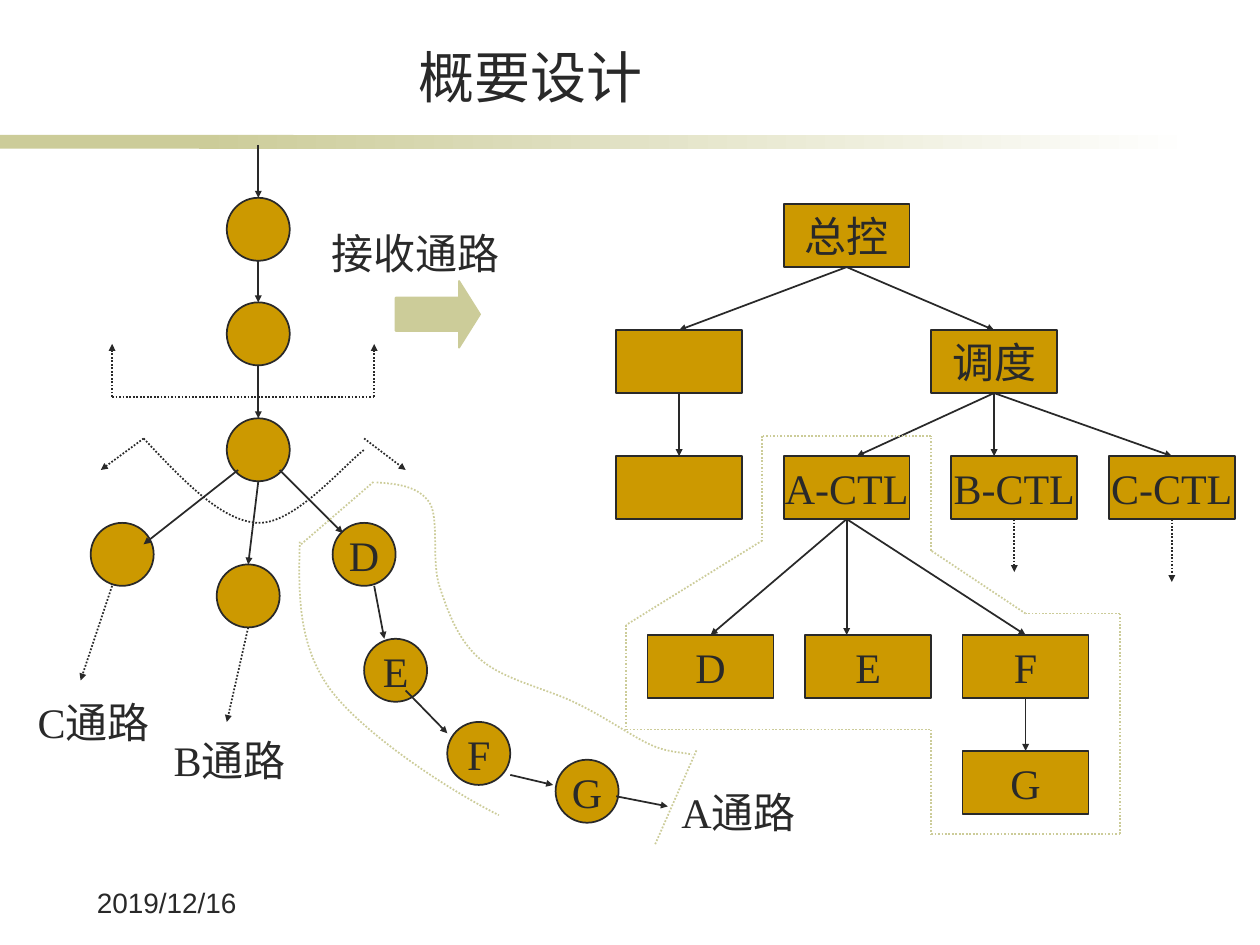
import itertools
import pptx
import pptx.util
import pptx.dml.color
import pptx.enum.dml
import pptx.enum.shapes
import pptx.enum.text
import pptx.oxml.ns
import lxml.etree

Inches = pptx.util.Inches
qn = pptx.oxml.ns.qn
SHAPE = pptx.enum.shapes.MSO_SHAPE
ANCHOR = pptx.enum.text.MSO_ANCHOR
ALIGN = pptx.enum.text.PP_ALIGN
AUTO = pptx.enum.text.MSO_AUTO_SIZE
INK, GOLD, TAN, WHITE = "292929", "CC9900", "CCCC99", "FFFFFF"


def rgb(value):
    return pptx.dml.color.RGBColor.from_string(value)


def put_text(tf, text, size=24, font="Times New Roman", color=INK, align=ALIGN.LEFT,
             anchor=ANCHOR.TOP, wrap=False, auto=AUTO.NONE):
    tf.auto_size = auto
    tf.word_wrap = wrap
    tf.vertical_anchor = anchor
    p = tf.paragraphs[0]
    p.alignment = align
    r = p.add_run()
    r.text = text
    r.font.size = pptx.util.Pt(size)
    r.font.name = font
    r.font.color.rgb = rgb(color)


def style_line(line, color, dotted=False):
    line.color.rgb = rgb(color)
    line.width = pptx.util.Pt(1)
    if dotted:
        line.dash_style = pptx.enum.dml.MSO_LINE.ROUND_DOT


def add_shape(s, kind, x, y, w, h, fill=GOLD, line=INK, text=""):
    sp = s.shapes.add_shape(kind, Inches(x), Inches(y), Inches(w), Inches(h))
    sp.shadow.inherit = False
    sp.fill.solid()
    sp.fill.fore_color.rgb = rgb(fill)
    if line:
        style_line(sp.line, line)
    else:
        sp.line.fill.background()
    if text:
        put_text(sp.text_frame, text, align=ALIGN.CENTER, anchor=ANCHOR.MIDDLE)
    return sp


def add_label(s, text, x, y, w, h=0.5, **fmt):
    sp = s.shapes.add_textbox(Inches(x), Inches(y), Inches(w), Inches(h))
    put_text(sp.text_frame, text, **fmt)


def add_line(s, x, y, start, end, color=INK, dotted=False, arrow=True):
    c = s.shapes.add_connector(
        pptx.enum.shapes.MSO_CONNECTOR.STRAIGHT,
        Inches(x + start[0]), Inches(y + start[1]), Inches(x + end[0]), Inches(y + end[1]))
    style_line(c.line, color, dotted)
    if arrow:
        ln = c.line._get_or_add_ln()
        lxml.etree.SubElement(ln, qn("a:tailEnd"), type="triangle", w="sm", len="sm")
    lxml.etree.SubElement(c._element.spPr, qn("a:effectLst"))


def add_curve(s, x, y, knots, color):
    points = [(Inches(x + px), Inches(y + py)) for px, py in knots]
    fb = s.shapes.build_freeform(*points[0])
    fb.add_line_segments(points[1:], close=False)
    sp = fb.convert_to_shape()
    sp.shadow.inherit = False
    sp.fill.background()
    style_line(sp.line, color, dotted=True)
    outline = sp._element.spPr.find(".//" + qn("a:path"))
    segments = outline.findall(qn("a:lnTo"))
    for i in range(0, len(segments), 3):
        bezier = lxml.etree.SubElement(outline, qn("a:cubicBezTo"))
        for segment in segments[i:i + 3]:
            bezier.append(segment[0])
            outline.remove(segment)


def header(s, x, y, w):
    add_shape(s, SHAPE.RECTANGLE, x, y + 1.07, 2.33, 0.11, TAN, None)
    fade = add_shape(s, SHAPE.RECTANGLE, x + 1.58, y + 1.07, w - 1.58, 0.11, TAN, None)
    fade.fill.gradient()
    fade.fill.gradient_angle = 0
    for stop, color, position in zip(fade.fill.gradient_stops, (TAN, WHITE), (0, 1)):
        stop.color.rgb = rgb(color)
        stop.position = position
    title = s.shapes.title
    title.left, title.top = Inches(x + 1.14), Inches(y + 0.29)
    title.width, title.height = Inches(6.14), Inches(0.63)
    put_text(title.text_frame, "概要设计", size=32, font="Arial", align=ALIGN.CENTER,
             anchor=ANCHOR.BOTTOM, wrap=True)


def flow_graph(s, x, y):
    nodes = [("", 1.6, 0.42), ("", 1.6, 1.25), ("", 1.6, 2.17), ("", 0.52, 3), ("", 1.52, 3.33),
             ("D", 2.44, 3), ("E", 2.69, 3.92), ("F", 3.35, 4.58), ("G", 4.21, 4.88)]
    for text, dx, dy in nodes:
        add_shape(s, SHAPE.OVAL, x + dx, y + dy, 0.5, 0.5, text=text)

    flows = [((1.85, 0), (1.85, 0.42)), ((1.85, 0.92), (1.85, 1.25)),
             ((1.85, 1.75), (1.85, 2.17)), ((1.69, 2.58), (0.94, 3.17)),
             ((1.85, 2.67), (1.77, 3.33)), ((2.02, 2.58), (2.52, 3.08)),
             ((2.77, 3.5), (2.85, 3.92)), ((3.02, 4.33), (3.35, 4.67)),
             ((3.85, 5), (4.19, 5.08)), ((4.69, 5.17), (5.1, 5.25))]
    for start, end in flows:
        add_line(s, x, y, start, end)

    dotted_flows = [((0.69, 3.5), (0.44, 4.25)), ((1.77, 3.83), (1.6, 4.58)),
                    ((0.69, 2), (0.69, 1.58)), ((2.77, 2), (2.77, 1.58)),
                    ((0.94, 2.33), (0.6, 2.58)), ((2.69, 2.33), (3.02, 2.58))]
    for start, end in dotted_flows:
        add_line(s, x, y, start, end, dotted=True)

    borders = [((0.69, 2), (2.77, 2), INK), ((2.19, 3.17), (2.77, 2.67), TAN),
               ((5, 5.55), (5.33, 4.8), TAN)]
    for start, end, color in borders:
        add_line(s, x, y, start, end, color, dotted=True, arrow=False)

    fan = [(0.94, 2.33), (1.25, 2.66), (1.56, 2.99), (1.85, 3), (2.14, 3.01), (2.53, 2.54),
           (2.69, 2.42)]
    lower = [(2.18, 3.15), (2.17, 3.55), (2.16, 3.96), (2.42, 4.32), (2.69, 4.68),
             (3.36, 5.12), (3.76, 5.32)]
    upper = [(2.79, 2.68), (2.96, 2.69), (3.12, 2.71), (3.21, 2.84), (3.29, 2.98),
             (3.22, 3.3), (3.29, 3.51), (3.36, 3.72), (3.44, 3.94), (3.62, 4.09),
             (3.81, 4.25), (4.15, 4.32), (4.37, 4.43), (4.6, 4.54), (4.81, 4.69),
             (4.96, 4.76), (5.11, 4.83), (5.24, 4.82), (5.29, 4.84)]
    for knots, color in ((fan, INK), (lower, TAN), (upper, TAN)):
        add_curve(s, x, y, knots, color)

    labels = [("C通路", 0, 4.33, 1.09, True), ("A通路", 5.11, 5.04, 1.11, True),
              ("B通路", 1.08, 4.63, 1.09, True), ("接收通路", 2.33, 0.61, 1.53, False)]
    for text, dx, dy, w, wrap in labels:
        add_label(s, text, x + dx, y + dy, w, wrap=wrap, auto=AUTO.SHAPE_TO_FIT_TEXT)
    arrow = add_shape(s, SHAPE.RIGHT_ARROW, x + 2.94, y + 1.08, 0.67, 0.53, TAN, TAN)
    arrow.adjustments[0] = 0.5
    arrow.adjustments[1] = 0.314


def structure_chart(s, x, y):
    modules = [("总控", 1.33, 0), ("", 0, 1), ("调度", 2.5, 1), ("", 0, 2),
               ("A-CTL", 1.33, 2), ("B-CTL", 2.66, 2), ("C-CTL", 3.91, 2),
               ("D", 0.25, 3.42), ("E", 1.5, 3.42), ("F", 2.75, 3.42), ("G", 2.75, 4.34)]
    for text, dx, dy in modules:
        add_shape(s, SHAPE.RECTANGLE, x + dx, y + dy, 1, 0.5, text=text)

    calls = [((1.83, 0.5), 1, (0.5, 3)), ((0.5, 1.5), 2, (0.5,)),
             ((3, 1.5), 2, (1.91, 3, 4.41)), ((1.83, 2.5), 3.42, (0.75, 1.83, 3.25)),
             ((3.25, 3.92), 4.34, (3.25,))]
    for start, end_y, end_xs in calls:
        for end_x in end_xs:
            add_line(s, x, y, start, (end_x, end_y))

    outline = [(1.16, 1.84), (1.16, 2.67), (0.08, 3.34), (0.08, 4.17), (2.5, 4.17), (2.5, 5),
               (4, 5), (4, 3.25), (3.25, 3.25), (2.5, 2.75), (2.5, 1.84), (1.16, 1.84)]
    for start, end in zip(outline, itertools.islice(outline, 1, None)):
        add_line(s, x, y, start, end, TAN, dotted=True, arrow=False)
    for dx, end_y in ((3.16, 2.92), (4.41, 3)):
        add_line(s, x, y, (dx, 2.5), (dx, end_y), dotted=True)


prs = pptx.Presentation()
prs.slide_width, prs.slide_height = Inches(10), Inches(7.5)
s = prs.slides.add_slide(prs.slide_layouts[5])
header(s, 0, 0, 9.5)
flow_graph(s.shapes.add_group_shape(), 0.2, 1.15)
structure_chart(s.shapes.add_group_shape(), 4.89, 1.62)
add_label(s, "2019/12/16", 0.67, 6.98, 1.41, 0.39, size=16, font="Arial", wrap=True)
prs.save("out.pptx")
